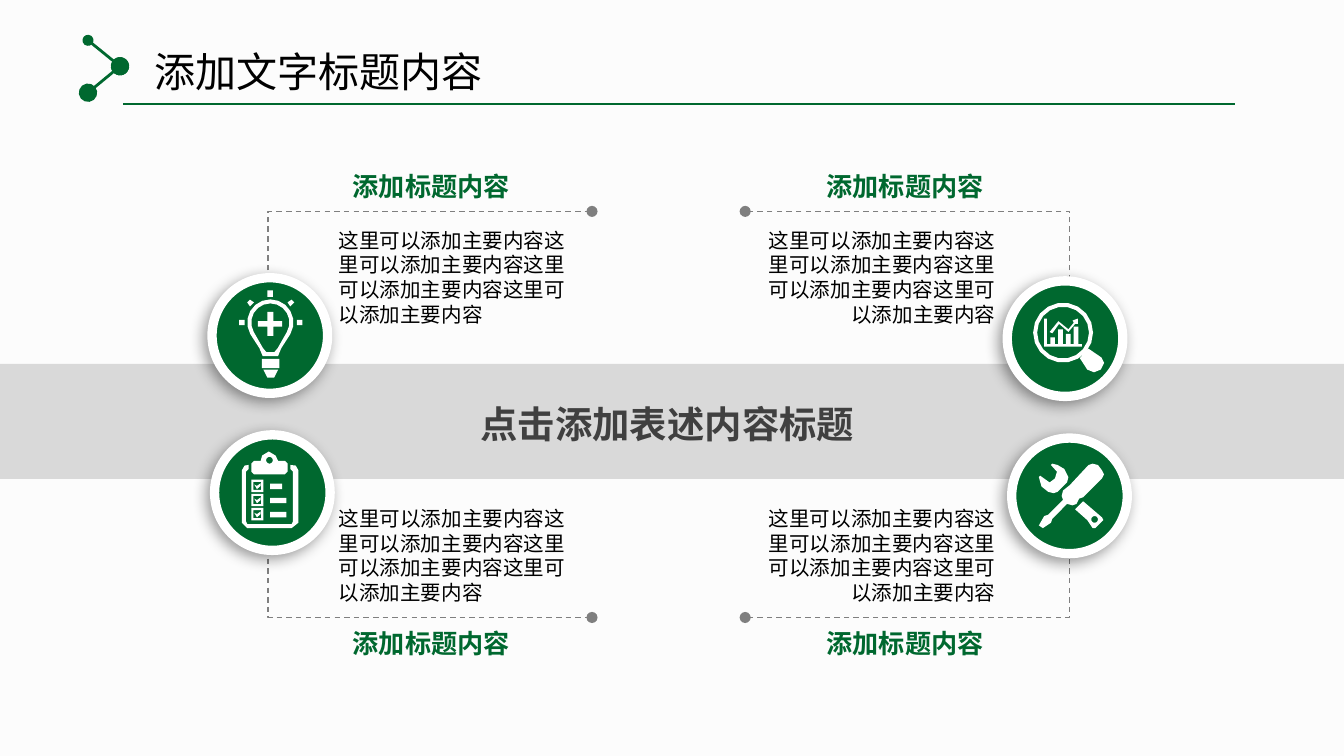
from math import cos, radians, sin

from lxml.etree import SubElement
from pptx import Presentation
from pptx.dml.color import RGBColor
from pptx.enum.dml import MSO_LINE
from pptx.enum.shapes import MSO_CONNECTOR, MSO_SHAPE
from pptx.enum.text import PP_ALIGN
from pptx.oxml.ns import qn
from pptx.util import Inches, Pt

GREEN = RGBColor(0x00, 0x68, 0x2F)
WHITE = RGBColor(0xFF, 0xFF, 0xFF)
BLACK = RGBColor(0x00, 0x00, 0x00)
PAPER = RGBColor(0xFC, 0xFC, 0xFC)
BAND = RGBColor(0xD9, 0xD9, 0xD9)
GRAY = RGBColor(0x7F, 0x7F, 0x7F)
CHARCOAL = RGBColor(0x40, 0x40, 0x40)
FONT = "Noto Sans CJK SC"

presentation = Presentation()
presentation.slide_width = Inches(10)
presentation.slide_height = Inches(5.625)
column = presentation.slide_width / 100
row = presentation.slide_height / 56.25
slide = presentation.slides.add_slide(presentation.slide_layouts[6])
slide.background.fill.solid()
slide.background.fill.fore_color.rgb = PAPER
shapes = slide.shapes


def add_text(text, left, top, width, height, size, color=BLACK, bold=False,
             align=PP_ALIGN.LEFT, wrap=True, inset=0.7):
    box = shapes.add_textbox(int(left * column), int(top * row), int(width * column), int(height * row))
    frame = box.text_frame
    frame.word_wrap = wrap
    frame.margin_left = frame.margin_right = int(inset * column)
    frame.margin_top = frame.margin_bottom = int(inset / 2 * row)
    paragraph = frame.paragraphs[0]
    paragraph.alignment = align
    run = paragraph.add_run()
    run.text = text
    run.font.size = Pt(size)
    run.font.bold = bold
    run.font.color.rgb = color
    run.font.name = FONT
    SubElement(run.font._element, qn("a:ea"), typeface=FONT)


def paint(shape, fill=None, line=None, line_width=0):
    shape.shadow.inherit = False
    if fill is None:
        shape.fill.background()
    else:
        shape.fill.solid()
        shape.fill.fore_color.rgb = fill
    if line is None:
        shape.line.fill.background()
    else:
        shape.line.color.rgb = line
        shape.line.width = Pt(line_width)
    return shape


for x1, y1, x2, y2, width, dots in [
    (6.55, 3, 8.93, 4.93, 1.5, ("med", "lg")),
    (8.93, 4.93, 6.55, 6.9, 1.5, ("lg", "lg")),
    (9.17, 7.74, 91.9, 7.74, 1, ()),
]:
    connector = shapes.add_connector(MSO_CONNECTOR.STRAIGHT, int(x1 * column), int(y1 * row),
                                     int(x2 * column), int(y2 * row))
    connector.line.color.rgb = GREEN
    connector.line.width = Pt(width)
    line = connector.line._get_or_add_ln()
    for end, dot in zip(("a:headEnd", "a:tailEnd"), dots):
        SubElement(line, qn(end), type="oval", w=dot, len=dot)
    SubElement(connector._element.spPr, qn("a:effectLst"))

add_text("添加文字标题内容", 8.6, 3.05, 30.2, 4.5, 22, align=PP_ALIGN.CENTER, inset=0.8)

for inner_y, outer_y in [(21.2, 15.73), (40.5, 45.95)]:
    for outer_x, inner_x in [(19.95, 44.05), (79.6, 55.45)]:
        builder = shapes.build_freeform(int(outer_x * column), int(inner_y * row))
        builder.add_line_segments([(int(outer_x * column), int(outer_y * row)),
                                   (int(inner_x * column), int(outer_y * row))], close=False)
        bracket = paint(builder.convert_to_shape(), line=GRAY)
        bracket.line.dash_style = MSO_LINE.DASH
        line = bracket.line._get_or_add_ln()
        for end in ("a:headEnd", "a:tailEnd"):
            SubElement(line, qn(end), type="oval")

paint(shapes.add_shape(MSO_SHAPE.RECTANGLE, 0, int(27.08 * row), presentation.slide_width, int(8.56 * row)), BAND)
add_text("点击添加表述内容标题", 35.05, 29.5, 29.4, 4.1, 20, CHARCOAL, True, wrap=False)

bulb_outlines = [
    [(20.12 + radius * cos(radians(angle)), 24 - radius * sin(radians(angle)))
     for angle in range(210, -31, -20)]
    + [(20.12 + side * half, bottom) for side, half, bottom in
       [(1, neck, 25.9), (1, neck - 0.25, low), (-1, neck - 0.25, low), (-1, neck, 25.9)]]
    for radius, neck, low in [(1.72, 0.82, 26.5), (1.42, 0.55, 26.2)]
] + [
    [(19.9, 23.2), (20.35, 23.2), (20.35, 23.9), (21, 23.9), (21, 24.3), (20.35, 24.3),
     (20.35, 25), (19.9, 25), (19.9, 24.3), (19.2, 24.3), (19.2, 23.9), (19.9, 23.9)],
    [(19.6, 27.5), (20.7, 27.5), (20.4, 28.1), (19.9, 28.1)],
    [(18.6, 22.8), (18.9, 22.5), (18.6, 22.3), (18.4, 22.5)],
    [(21.6, 22.8), (21.4, 22.5), (21.7, 22.3), (21.9, 22.5)],
]
bulb_boxes = [(19.5, 26.7, 20.8, 27.4), (19.9, 21.6, 20.3, 22.1),
              (17.8, 23.8, 18.2, 24.2), (22.1, 23.8, 22.5, 24.2)]

clipboard_outlines = [
    [(18.5, 34.6), (18.2, 34.65), (18, 35), (18, 38.9), (18.4, 39.3), (21.7, 39.3), (22.2, 38.9),
     (22.2, 35), (22, 34.65), (21.6, 34.6), (21.6, 34.9), (21.8, 35.1), (21.8, 38.8), (21.7, 39),
     (18.4, 39), (18.3, 38.8), (18.3, 35.1), (18.5, 34.9)],
    [(19.4, 34.3), (19.5, 33.9), (20, 33.6), (20.5, 33.9), (20.7, 34.3), (21.2, 34.3), (21.4, 34.5),
     (21.4, 35.1), (21.2, 35.3), (18.9, 35.3), (18.7, 35.1), (18.7, 34.5), (18.9, 34.3)],
]
clipboard_boxes = []
for index in range(3):
    top = 35.7 + 1.05 * index
    clipboard_boxes += [(18.7, top, 19.6, top + 0.92), (18.86, top + 0.16, 19.44, top + 0.76),
                        (20.1, top + 0.3, 21 if index == 0 else 21.3, top + 0.7)]
    clipboard_outlines.append([(18.92, top + 0.36), (19.12, top + 0.46), (19.4, top + 0.26),
                               (19.4, top + 0.46), (19.12, top + 0.7)])

magnifier_outlines = [
    [(80.35, 26.65), (81, 25.95), (81.95, 26.6), (82.15, 27), (81.9, 27.5), (81.4, 27.7), (80.9, 27.5)],
    [(77.7, 23.7), (77.9, 23.7), (77.9, 25.6), (80.5, 25.6), (80.5, 25.8), (77.7, 25.8)],
    [(78.1, 24.7), (78.75, 23.9), (79.5, 24.5), (79.9, 24), (79.8, 23.85), (80.2, 23.7),
     (80.2, 24.1), (80, 24.1), (79.5, 24.7), (78.8, 24.1), (78.3, 24.8)],
]
magnifier_boxes = [(78.15 + 0.58 * index, top, 78.5 + 0.58 * index, 25.6)
                   for index, top in enumerate([25.1, 24.5, 24.85, 24.3])]

tool_outlines = [
    [(78.2, 34.6), (78.65, 35.1), (78.5, 35.6), (78.1, 35.9), (77.4, 35.4), (77.3, 35.5),
     (77.5, 36.2), (78, 36.6), (78.4, 36.7), (78.7, 36.6), (79.4, 35.9), (79.5, 35.5),
     (79.2, 34.9), (78.7, 34.6), (78.3, 34.5)],
    [(80.6, 37.3), (82, 38.5), (82.1, 38.7), (81.5, 39.3), (81.3, 39.3), (80.9, 38.7), (80, 37.9)],
    [(79.6, 36.1), (81, 34.6), (81.3, 34.5), (81.7, 34.6), (82, 35), (82.15, 35.3), (82, 35.6),
     (80.6, 37), (80.3, 37.1), (80.1, 37.5), (79.8, 37.6), (79.4, 37.5), (78.3, 38.6),
     (78.2, 38.9), (77.6, 39.3), (77.3, 39.1), (77.7, 38.4), (78, 38.3), (79.1, 37.2),
     (79, 36.9), (79.1, 36.5)],
]

for left, top, outlines, boxes, circles in [
    (15.78, 20.67, bulb_outlines, bulb_boxes, []),
    (15.97, 32.36, clipboard_outlines, clipboard_boxes, [(20.05, 34.25, 0.25)]),
    (74.95, 20.9, magnifier_outlines, magnifier_boxes, [(79.1, 24.75, 2.23), (79.1, 24.75, 1.93)]),
    (75.28, 32.6, tool_outlines, [], [(81.45, 38.65, 0.25)]),
]:
    badge = paint(shapes.add_shape(MSO_SHAPE.OVAL, int(left * column), int(top * row),
                                   int(8.6 * column), int(8.6 * row)), GREEN, WHITE, 5)
    effects = badge._element.spPr.find(qn("a:effectLst"))
    shadow = SubElement(effects, qn("a:outerShdw"), blurRad=str(Pt(8)), dist=str(Pt(3)),
                        dir=str(135 * 60000), algn="tr", rotWithShape="0")
    shadow_color = SubElement(shadow, qn("a:srgbClr"), val="000000")
    SubElement(shadow_color, qn("a:alpha"), val="40000")
    contours = outlines + [[(x1, y1), (x2, y1), (x2, y2), (x1, y2)] for x1, y1, x2, y2 in boxes]
    contours += [[(x + radius * cos(radians(angle)), y + radius * sin(radians(angle)))
                  for angle in range(0, 360, 20)] for x, y, radius in circles]
    corners = [[(int(x * column), int(y * row)) for x, y in contour] for contour in contours]
    builder = shapes.build_freeform(*corners[0][0])
    builder.add_line_segments(corners[0][1:])
    for contour in corners[1:]:
        builder.move_to(*contour[0])
        builder.add_line_segments(contour[1:])
    paint(builder.convert_to_shape(), WHITE)

for heading_top, body_top in [(12.3, 16.6), (46.3, 37.3)]:
    for heading_left, body_left, align in [(25.55, 24.5, PP_ALIGN.LEFT), (60.6, 55.57, PP_ALIGN.RIGHT)]:
        add_text("添加标题内容", heading_left, heading_top, 13.3, 3, 14, GREEN, True, align)
        add_text("这里可以添加主要内容" * 4, body_left, body_top, 19.2, 8.1, 11, align=align)

presentation.save("out.pptx")
